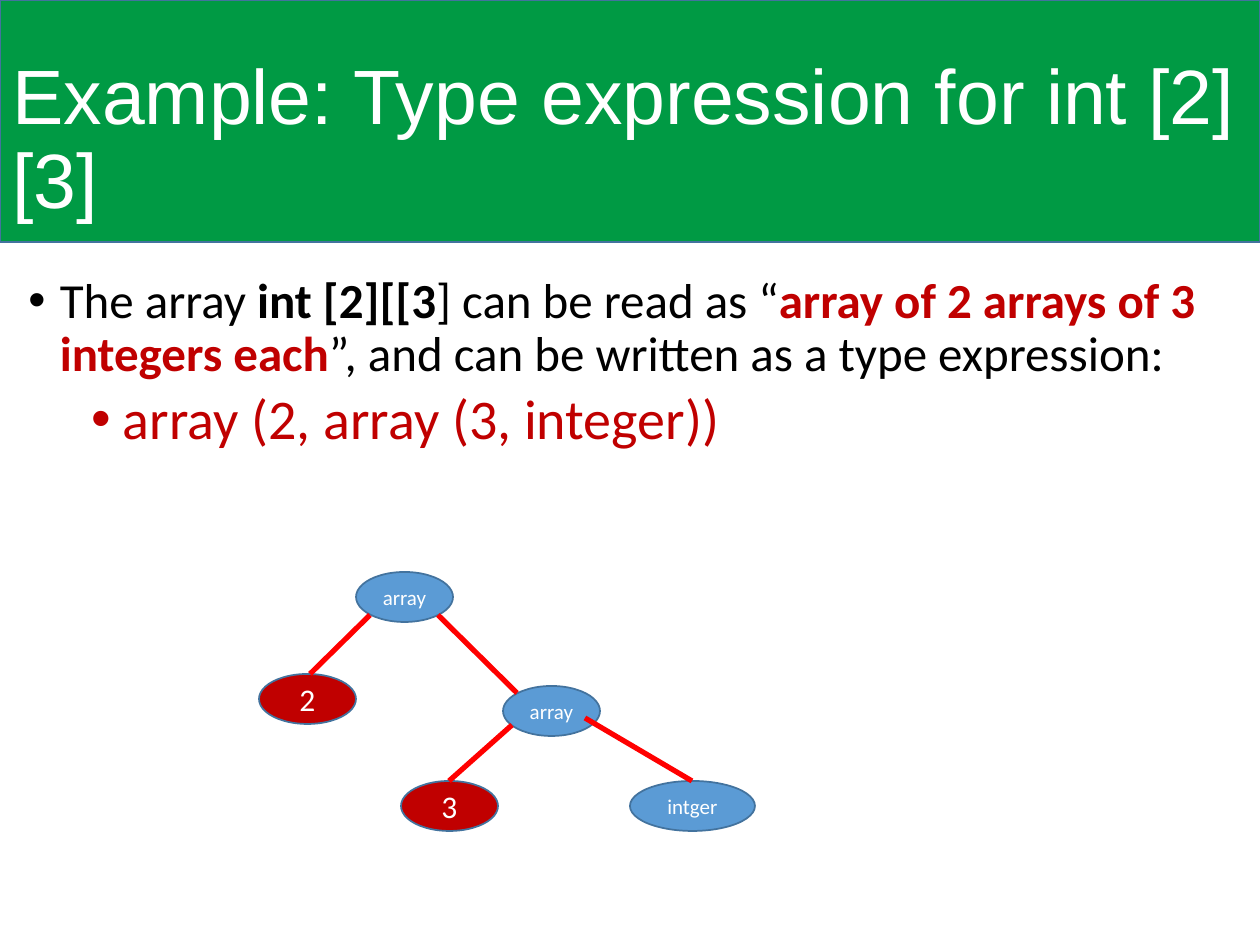
from lxml.etree import SubElement
from pptx import Presentation
from pptx.dml.color import RGBColor
from pptx.enum.shapes import MSO_CONNECTOR, MSO_SHAPE
from pptx.enum.text import MSO_ANCHOR, PP_ALIGN
from pptx.oxml.ns import qn
from pptx.util import Emu, Pt

GREEN = RGBColor(0x00, 0x9A, 0x44)
BLUE = RGBColor(0x5B, 0x9B, 0xD5)
OUTLINE = RGBColor(0x43, 0x73, 0x9E)
CRIMSON = RGBColor(0xC0, 0x00, 0x00)
RED = RGBColor(0xFF, 0x00, 0x00)
BLACK = RGBColor(0x00, 0x00, 0x00)
WHITE = RGBColor(0xFF, 0xFF, 0xFF)


def px(length):
    return Emu(round(length * 914400 / 126))


class Deck:
    """Draws styled elements on the current slide, with lengths in px."""

    heading_font = "Arial"
    body_font = "Calibri"

    def __init__(self, width, height):
        self.presentation = Presentation()
        self.presentation.slide_width = px(width)
        self.presentation.slide_height = px(height)
        self.slide = self.presentation.slides.add_slide(self.presentation.slide_layouts[6])

    def shape(self, kind, box, fill):
        shape = self.slide.shapes.add_shape(kind, *map(px, box))
        shape.shadow.inherit = False
        shape.fill.solid()
        shape.fill.fore_color.rgb = fill
        shape.line.color.rgb = OUTLINE
        shape.line.width = Pt(1)
        return shape

    def text_frame(self, box):
        frame = self.slide.shapes.add_textbox(*map(px, box)).text_frame
        frame.word_wrap = True
        return frame

    def style(self, paragraph, font, size, color):
        paragraph.font.name = font
        paragraph.font.size = Pt(size)
        paragraph.font.color.rgb = color

    def title(self, box, text):
        frame = self.text_frame(box)
        frame.vertical_anchor = MSO_ANCHOR.MIDDLE
        heading = frame.paragraphs[0]
        heading.text = text
        heading.line_spacing = 0.9
        self.style(heading, self.heading_font, 44, WHITE)

    def bullet(self, paragraph, runs, size, color, before, indent):
        paragraph.line_spacing = 0.9
        paragraph.space_before = Pt(before)
        self.style(paragraph, self.body_font, size, color)
        for text, bold, run_color in runs:
            run = paragraph.add_run()
            run.text = text
            run.font.bold = bold
            run.font.color.rgb = run_color
        properties = paragraph._p.get_or_add_pPr()
        properties.set("marL", str(px(indent)))
        properties.set("indent", str(-px(31.5)))
        SubElement(properties, qn("a:buFont"), typeface="Arial")
        SubElement(properties, qn("a:buChar"), char="•")
        properties.append(properties.find(qn("a:defRPr")))

    def node(self, left, top, width, label, fill, size):
        node = self.shape(MSO_SHAPE.OVAL, (left, top, width, 50), fill)
        frame = node.text_frame
        frame.word_wrap = False
        frame.vertical_anchor = MSO_ANCHOR.MIDDLE
        name = frame.paragraphs[0]
        name.text = label
        name.alignment = PP_ALIGN.CENTER
        self.style(name, self.body_font, size, WHITE)

    def edge(self, *ends):
        edge = self.slide.shapes.add_connector(MSO_CONNECTOR.STRAIGHT, *map(px, ends))
        edge.line.color.rgb = RED
        edge.line.width = Pt(3)
        SubElement(edge._element.spPr, qn("a:effectLst"))


def main():
    deck = Deck(1260, 945)
    deck.shape(MSO_SHAPE.RECTANGLE, (0, 0, 1260, 242), GREEN)
    deck.title((0, 50, 1260, 183), "Example: Type expression for int [2][3]")

    body = deck.text_frame((16, 270, 1201, 582))
    explanation = [
        ("The array ", False, BLACK),
        ("int [2][[3", True, BLACK),
        ("] can be read as “", False, BLACK),
        ("array of 2 arrays of 3 integers each", True, CRIMSON),
        ("”, and can be written as a type expression:", False, BLACK),
    ]
    expression = [("array (2, array (3, integer))", False, CRIMSON)]
    deck.bullet(body.paragraphs[0], explanation, 28, BLACK, 10, 31.5)
    deck.bullet(body.add_paragraph(), expression, 32, CRIMSON, 5, 94.5)

    for left, top, width, label in [
        (356, 572, 97, "array"),
        (503, 686, 97, "array"),
        (630, 781, 125, "intger"),
    ]:
        deck.node(left, top, width, label, BLUE, 12)
    for left, top, label in [(259, 674, "2"), (401, 781, "3")]:
        deck.node(left, top, 97, label, CRIMSON, 18)

    for ends in [
        (370, 615, 310, 674),
        (438, 615, 517, 693),
        (512, 725, 449, 781),
        (585, 718, 692, 781),
    ]:
        deck.edge(*ends)
    deck.presentation.save("out.pptx")


if __name__ == "__main__":
    main()
